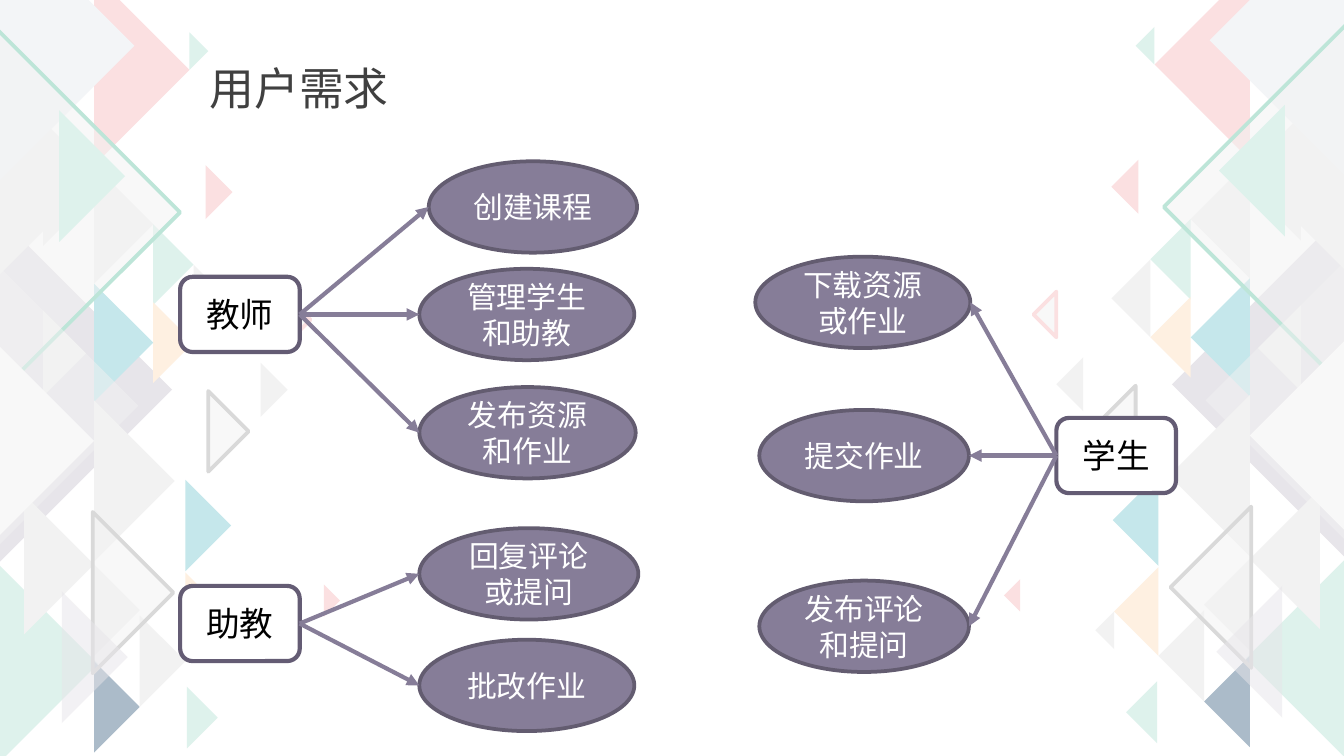
from lxml import etree
from pptx import Presentation
from pptx.dml.color import RGBColor
from pptx.enum.shapes import MSO_CONNECTOR, MSO_SHAPE
from pptx.enum.text import MSO_ANCHOR, PP_ALIGN
from pptx.oxml.ns import qn
from pptx.util import Pt

PX = 9144  # EMU per px, 100 px to the inch
WIDTH = 1000
DROP = 4  # the right-hand pattern sits a little higher

OVAL, ROUND = MSO_SHAPE.OVAL, MSO_SHAPE.ROUNDED_RECTANGLE
STRAIGHT = MSO_CONNECTOR.STRAIGHT
CENTER, MIDDLE = PP_ALIGN.CENTER, MSO_ANCHOR.MIDDLE

WHITE = RGBColor(0xFF, 0xFF, 0xFF)
BLACK = RGBColor(0x00, 0x00, 0x00)
DARK = RGBColor(0x40, 0x40, 0x40)
PLUM = RGBColor(0x86, 0x7D, 0x98)
RIM = RGBColor(0x63, 0x5C, 0x70)
FRAME = RGBColor(0x64, 0x5C, 0x74)
GRAY = RGBColor(0xF2, 0xF2, 0xF2)
SILVER = RGBColor(0xD9, 0xD9, 0xD9)
MIST = RGBColor(0xF3, 0xF5, 0xF7)
LILAC = RGBColor(0xE7, 0xE5, 0xEA)
PINK = RGBColor(0xFB, 0xE0, 0xE1)
MINT = RGBColor(0xDE, 0xF2, 0xEC)
GREEN = RGBColor(0xBD, 0xE5, 0xD8)
CREAM = RGBColor(0xFE, 0xF0, 0xE1)
AQUA = RGBColor(0xC5, 0xE7, 0xEB)
SLATE = RGBColor(0xAB, 0xBB, 0xC9)

HEAD_FONT, BODY_FONT = "Arial", "Noto Sans Mono"

# Left pattern: base x, middle y, half height, fill, then opacity and line
TILES = [
    (0, 290, 128, LILAC), (0, 131, 73, GRAY), (70, 167, 44, GRAY),
    (70, 52, 71, PINK), (114, 197, 30, MINT), (114, 255, 30, CREAM),
    (70, 255, 44, AQUA), (70, 358, 60, GRAY), (70, 454, 34, GRAY),
    (0, 494, 73, MINT), (70, 526, 34, SLATE), (104, 492, 34, GRAY),
    (138, 459, 33, CREAM), (138, 391, 34, AQUA), (0, 340, 51, GRAY),
    (0, 34, 100, MIST), (32, 151, 32, GRAY), (32, 263, 32, GRAY),
    (18, 420, 52, GRAY), (153, 143, 20, PINK), (-6, 158, 140, GRAY, 50, GREEN),
    (-6, 328, 76, WHITE), (69, 441, 60, GRAY, 50, SILVER),
    (155, 321, 30, GRAY, 50, SILVER), (214, 238, 17, GRAY, 50, PINK),
    (194, 290, 20, GRAY), (139, 534, 23, MINT), (0, 302, 103, GRAY, 50),
    (46, 489, 49, LILAC, 50), (44, 131, 49, MINT), (144, 226, 29, GRAY),
    (141, 38, 14, MINT), (241, 447, 12, PINK),
]
RIGHT_ONLY = [(171, 473, 14, GRAY)]

# Role, box left and top, then its needs: text, left, top, width
BOX_W, BOX_H, OVAL_H = 89, 56, 68
ROLES = [
    ("教师", 134, 206, [("创建课程", 319, 120, 155),
                      ("管理学生和助教", 312, 200, 160),
                      ("发布资源和作业", 312, 288, 161)]),
    ("助教", 134, 436, [("回复评论或提问", 312, 393, 163),
                      ("批改作业", 312, 476, 160)]),
    ("学生", 786, 311, [("下载资源或作业", 562, 191, 160),
                      ("提交作业", 565, 305, 156),
                      ("发布评论和提问", 565, 432, 156)]),
]


def px(*vals):
    return [val * PX for val in vals]


def paint(shape, fill, line=None, weight=2.0):
    shape.shadow.inherit = False
    shape.fill.solid()
    shape.fill.fore_color.rgb = fill
    if line is None:
        shape.line.fill.background()
    else:
        shape.line.color.rgb = line
        shape.line.width = Pt(weight)


def fade(shape, rate):
    color = shape._element.spPr.find(qn("a:solidFill"))[0]
    etree.SubElement(color, qn("a:alpha"), val=str(rate * 1000))


def write(shape, text, font, size, color):
    frame = shape.text_frame
    frame.word_wrap = True
    para = frame.paragraphs[0]
    para.text = text
    para.alignment = CENTER
    para.font.name = font
    para.font.size = Pt(size)
    para.font.color.rgb = color
    return frame


def add_tile(slide, flip, x, mid, half, fill, rate=100, line=None):
    tip = x + half
    if flip:
        x, tip, mid = WIDTH - x, WIDTH - tip, mid - DROP
    pen = slide.shapes.build_freeform(tip, mid, scale=PX)
    pen.add_line_segments([(x, mid + half), (x, mid - half)], close=True)
    tile = pen.convert_to_shape()
    paint(tile, fill, line)
    if rate < 100:
        fade(tile, rate)


def add_title(slide, text):
    box = slide.shapes.add_textbox(*px(142, 40, 161, 79))
    write(box, text, HEAD_FONT, 24, DARK)


def add_node(slide, kind, area, text, size, color, fill, line, weight):
    node = slide.shapes.add_shape(kind, *px(*area))
    paint(node, fill, line, weight)
    write(node, text, BODY_FONT, size, color).vertical_anchor = MIDDLE


def add_arrow(slide, start, end):
    arrow = slide.shapes.add_connector(STRAIGHT, *px(*start, *end))
    arrow.line.color.rgb = PLUM
    arrow.line.width = Pt(2.25)
    props = arrow._element.spPr
    etree.SubElement(props.find(qn("a:ln")), qn("a:tailEnd"), type="triangle")
    etree.SubElement(props, qn("a:effectLst"))


def add_role(slide, name, left, top, needs):
    add_node(slide, ROUND, (left, top, BOX_W, BOX_H), name, 18,
             BLACK, WHITE, FRAME, 2.25)
    for text, x, y, width in needs:
        add_node(slide, OVAL, (x, y, width, OVAL_H), text, 16,
                 WHITE, PLUM, RIM, 2)
        # Arrows join the sides that face each other
        ahead = x > left
        start = (left + BOX_W if ahead else left, top + BOX_H // 2)
        end = (x if ahead else x + width, y + OVAL_H // 2)
        add_arrow(slide, start, end)


def main():
    # Widescreen, 16 to 9
    deck = Presentation()
    deck.slide_width = WIDTH * PX
    deck.slide_height = WIDTH * PX * 9 // 16
    slide = deck.slides.add_slide(deck.slide_layouts[6])

    # Triangle pattern, mirrored on the right
    for tile in TILES:
        add_tile(slide, False, *tile)
    for tile in TILES + RIGHT_ONLY:
        add_tile(slide, True, *tile)

    # Title and the needs of each role
    add_title(slide, "用户需求")
    for role in ROLES:
        add_role(slide, *role)

    deck.save("out.pptx")


if __name__ == "__main__":
    main()
